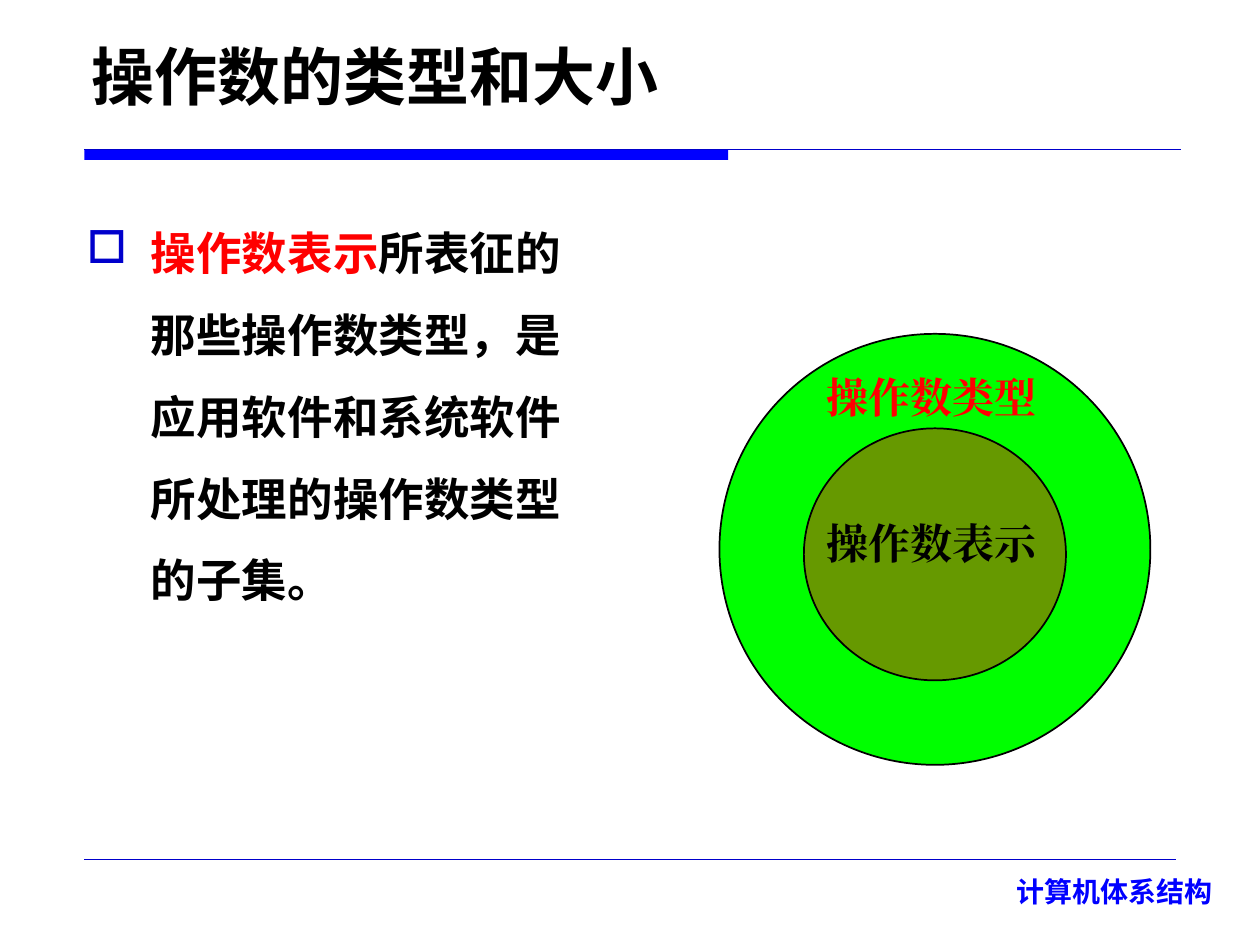
from dataclasses import dataclass

from lxml.etree import SubElement
from pptx import Presentation
from pptx.dml.color import RGBColor
from pptx.enum.shapes import MSO_CONNECTOR, MSO_SHAPE
from pptx.enum.text import MSO_ANCHOR, PP_ALIGN
from pptx.oxml.ns import qn
from pptx.util import Inches, Pt


@dataclass(frozen=True)
class Theme:
    black: str = "000000"
    red: str = "FF0000"
    blue: str = "0000FF"
    navy: str = "0000CC"
    green: str = "00FF00"
    olive: str = "669900"
    heading_font: str = "DejaVu Sans"
    label_font: str = "Times New Roman"
    footer_font: str = "Noto Sans CJK SC"
    title_size: int = 36
    body_size: int = 26
    label_size: int = 24
    footer_size: int = 16


THEME = Theme()


def add_text(shapes, box, runs, font, size, **paragraph_format):
    """Add one bold paragraph; runs holds (words, colour) pairs."""
    frame = shapes.add_textbox(*map(Inches, box)).text_frame
    frame.word_wrap = True
    paragraph = frame.paragraphs[0]
    for name, value in paragraph_format.items():
        setattr(paragraph, name, value)
    for words, colour in runs:
        run = paragraph.add_run()
        run.text = words
        for name, value in {"name": font, "size": Pt(size), "bold": True}.items():
            setattr(run.font, name, value)
        run.font.color.rgb = RGBColor.from_string(colour)
        SubElement(run.font._element, qn("a:ea"), typeface=font)
    return frame


def add_filled(shapes, preset, box, colour, outline=None):
    shape = shapes.add_shape(preset, *map(Inches, box))
    shape.shadow.inherit = False
    shape.fill.solid()
    shape.fill.fore_color.rgb = RGBColor.from_string(colour)
    if outline:
        shape.line.color.rgb = RGBColor.from_string(outline)
        shape.line.width = Pt(1)
    else:
        shape.line.fill.background()


def add_rule(shapes, left, top, width, weight):
    rule = shapes.add_connector(
        MSO_CONNECTOR.STRAIGHT, *map(Inches, (left, top, left + width, top)))
    rule.line.color.rgb = RGBColor.from_string(THEME.navy)
    rule.line.width = Pt(weight)
    SubElement(rule._element.spPr, qn("a:effectLst"))


def add_bullet(paragraph, symbol, colour, indent):
    properties = paragraph._p.get_or_add_pPr()
    properties.set("marL", str(Inches(indent)))
    properties.set("indent", str(-Inches(indent)))
    bullet_colour = SubElement(properties, qn("a:buClr"))
    SubElement(bullet_colour, qn("a:srgbClr"), val=colour)
    SubElement(properties, qn("a:buChar"), char=symbol)


def add_header(shapes, left, top, width):
    title = add_text(shapes, (left - 0.04, top, 6.5, 0.74),
                     [("操作数的类型和大小", THEME.black)],
                     THEME.heading_font, THEME.title_size)
    title.vertical_anchor = MSO_ANCHOR.BOTTOM
    rule_top = top + 0.98
    add_filled(shapes, MSO_SHAPE.RECTANGLE, (left, rule_top, 5.11, 0.08), THEME.blue)
    add_rule(shapes, left, rule_top, width, 0.5)


def add_definition(shapes, box):
    frame = add_text(
        shapes, box,
        [("操作数表示", THEME.red),
         ("所表征的那些操作数类型，是应用软件和系统软件所处理的操作数类型的子集。", THEME.black)],
        THEME.heading_font, THEME.body_size, line_spacing=1.5)
    add_bullet(frame.paragraphs[0], "□", THEME.navy, 0.51)


def add_subset_diagram(shapes, left, top, diameter):
    """Draw the set of operand types with the represented subset inside it."""
    diagram = shapes.add_group_shape().shapes
    rings = (
        ((0, 0, diameter, diameter), THEME.green, "操作数类型", 0.25, THEME.red),
        ((0.67, 0.75, 2.08, 2), THEME.olive, "操作数表示", 1.41, THEME.black),
    )
    for (x, y, width, height), fill, label, label_y, label_colour in rings:
        add_filled(diagram, MSO_SHAPE.OVAL, (left + x, top + y, width, height),
                   fill, THEME.black)
        add_text(diagram, (left + 0.75, top + label_y, 2, 0.5),
                 [(label, label_colour)], THEME.label_font, THEME.label_size)


def add_footer(shapes, left, top, width):
    add_rule(shapes, left, top, width, 0.25)
    add_text(shapes, (left + 6.6, top + 0.07, 2.45, 0.43),
             [("计算机体系结构", THEME.blue)],
             THEME.footer_font, THEME.footer_size, alignment=PP_ALIGN.RIGHT)


def main():
    presentation = Presentation()
    presentation.slide_width, presentation.slide_height = Inches(10), Inches(7.5)
    shapes = presentation.slides.add_slide(presentation.slide_layouts[6]).shapes
    add_header(shapes, 0.67, 0.21, 8.7)
    add_footer(shapes, 0.67, 6.82, 8.66)
    add_definition(shapes, (0.59, 1.52, 4.3, 4.9))
    add_subset_diagram(shapes, 5.71, 2.65, 3.42)
    presentation.save("out.pptx")


if __name__ == "__main__":
    main()
